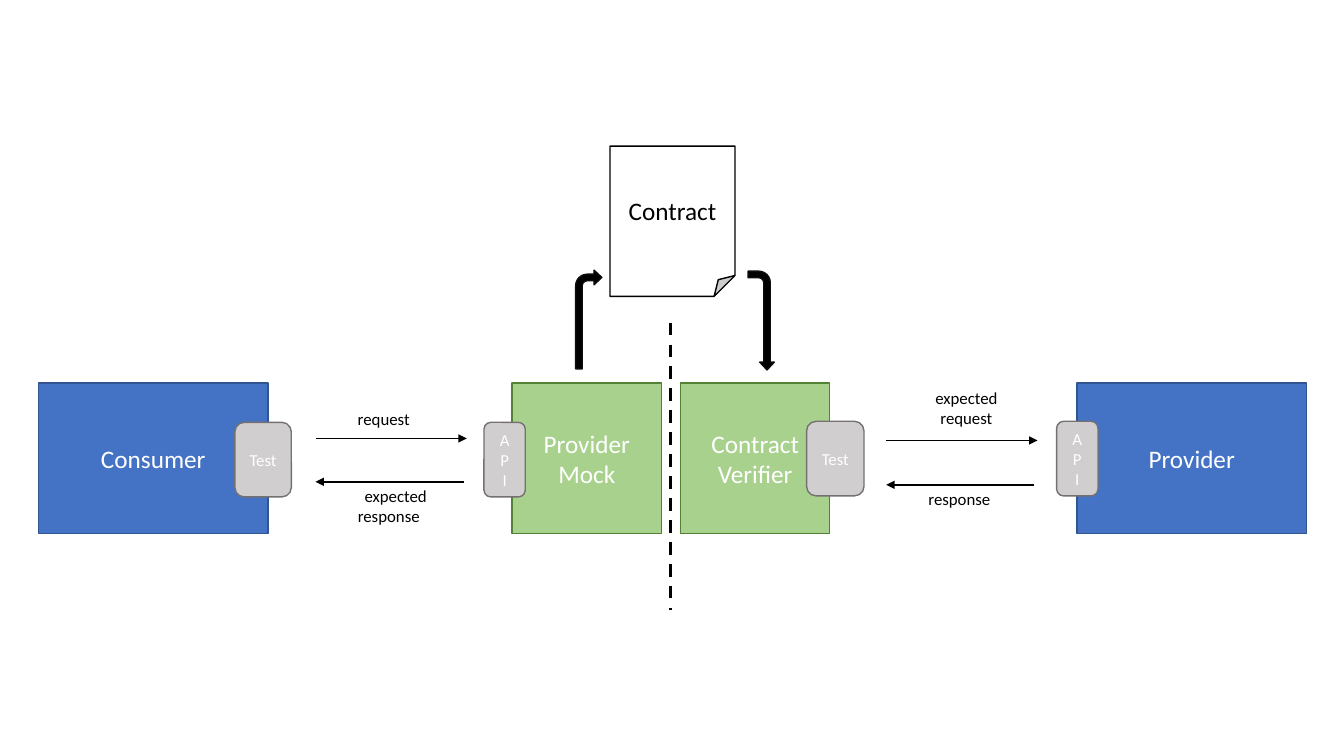
import dataclasses

import pptx
import pptx.dml.color
import pptx.enum.dml
import pptx.enum.shapes
import pptx.enum.text
import pptx.oxml
import pptx.oxml.ns
import pptx.util

Inches = pptx.util.Inches
Shape = pptx.enum.shapes.MSO_SHAPE
CENTER = pptx.enum.text.PP_ALIGN.CENTER
LEFT = pptx.enum.text.PP_ALIGN.LEFT


@dataclasses.dataclass(frozen=True)
class Theme:
    font: str = "Calibri"
    title_size: int = 18
    label_size: int = 12
    white: str = "FFFFFF"
    black: str = "000000"
    system: tuple = ("4472C4", "325491")
    helper: tuple = ("A9D18E", "548235")
    port: tuple = ("D0CECE", "767171")
    paper: tuple = ("FFFFFF", "000000")
    arrow: tuple = ("000000", "0D0D0D")


THEME = Theme()


def rgb(value):
    return pptx.dml.color.RGBColor.from_string(value)


def write_text(box, text, size=THEME.title_size, color=THEME.white, aligns=(CENTER,)):
    frame = box.text_frame
    frame.word_wrap = True
    lines = text.split("\n")
    for index, line in enumerate(lines):
        para = frame.add_paragraph() if index else frame.paragraphs[0]
        para.alignment = aligns[min(index, len(aligns) - 1)]
        span = para.add_run()
        span.text = line
        span.font.name = THEME.font
        span.font.size = pptx.util.Pt(size)
        span.font.color.rgb = rgb(color)


def add_box(page, preset, left, top, width, height, colors, text="", **text_format):
    box = page.shapes.add_shape(preset, Inches(left), Inches(top), Inches(width), Inches(height))
    box.shadow.inherit = False
    fill, outline = colors
    box.fill.solid()
    box.fill.fore_color.rgb = rgb(fill)
    box.line.color.rgb = rgb(outline)
    box.line.width = pptx.util.Pt(1)
    if text:
        box.text_frame.vertical_anchor = pptx.enum.text.MSO_ANCHOR.MIDDLE
        write_text(box, text, **text_format)
    return box


def add_line(page, start, end, width=1, arrow=False, dashed=False):
    line = page.shapes.add_connector(
        pptx.enum.shapes.MSO_CONNECTOR.STRAIGHT, *map(Inches, start + end))
    line.line.color.rgb = rgb(THEME.black)
    line.line.width = pptx.util.Pt(width)
    if dashed:
        line.line.dash_style = pptx.enum.dml.MSO_LINE.DASH
    if arrow:
        head = pptx.oxml.parse_xml(
            f'<a:tailEnd {pptx.oxml.ns.nsdecls("a")} type="triangle"/>')
        line.line._get_or_add_ln().append(head)
    line._element.spPr.append(
        pptx.oxml.parse_xml(f'<a:effectLst {pptx.oxml.ns.nsdecls("a")}/>'))


def add_label(page, left, top, width, height, text, aligns):
    box = page.shapes.add_textbox(Inches(left), Inches(top), Inches(width), Inches(height))
    write_text(box, text, size=THEME.label_size, color=THEME.black, aligns=aligns)


def draw_actors(page, top, height):
    for left, width, colors, text in (
        (0.38, 2.28, THEME.system, "Consumer"),
        (5.08, 1.48, THEME.helper, "Provider\nMock"),
        (6.75, 1.48, THEME.helper, "Contract\nVerifier"),
        (10.68, 2.28, THEME.system, "Provider"),
    ):
        add_box(page, Shape.RECTANGLE, left, top, width, height, colors, text)


def draw_ports(page, top, height):
    for left, offset, width, text in (
        (2.33, 0.01, 0.56, "Test"),
        (4.8, 0.01, 0.41, "A\nP\nI"),
        (8, 0, 0.57, "Test"),
        (10.48, 0, 0.41, "A\nP\nI"),
    ):
        add_box(page, Shape.ROUNDED_RECTANGLE, left, top + offset, width, height,
                THEME.port, text, size=THEME.label_size)


def draw_exchange(page, left, top, width, height, above, below):
    bottom = top + height
    add_line(page, (left, top), (left + width, top), arrow=True)
    add_line(page, (left + width - 0.03, bottom), (left, bottom), arrow=True)
    label_left = left + 0.32
    text, label_width, label_height, aligns = above
    add_label(page, label_left, top + 0.02 - label_height, label_width, label_height, text, aligns)
    text, label_width, label_height, aligns = below
    add_label(page, label_left, bottom - 0.01, label_width, label_height, text, aligns)


def draw_contract(page, left, top, width, height):
    add_box(page, Shape.FOLDED_CORNER, left, top, width, height, THEME.paper,
            "Contract", color=THEME.black)
    breadth, length = 0.26, 0.98
    inbound = add_box(page, Shape.BENT_ARROW, left - 0.34, top + 1.23, breadth, length, THEME.arrow)
    outbound = add_box(page, Shape.BENT_ARROW, left + 1.01, top + 1.6, length, breadth, THEME.arrow)
    outbound.rotation = 90
    for arrow in (inbound, outbound):
        for index, value in enumerate((0.25, 0.28, 0.3, 0.44)):
            arrow.adjustments[index] = value


def main():
    deck = pptx.Presentation()
    deck.slide_width, deck.slide_height = Inches(13.33), Inches(7.5)
    page = deck.slides.add_slide(deck.slide_layouts[6])
    draw_actors(page, 3.8, 1.49)
    draw_contract(page, 6.05, 1.45, 1.24, 1.49)
    draw_exchange(page, 3.13, 4.35, 1.5, 0.43,
                  ("request", 0.83, 0.36, (LEFT,)),
                  ("expected\nresponse", 0.95, 0.59, (CENTER, LEFT)))
    draw_exchange(page, 8.79, 4.37, 1.5, 0.44,
                  ("expected\nrequest", 0.95, 0.59, (CENTER,)),
                  ("response", 0.94, 0.36, (LEFT,)))
    add_line(page, (6.65, 3.2), (6.65, 6.05), width=2.25, dashed=True)
    draw_ports(page, 4.18, 0.74)
    deck.save("out.pptx")


main()
